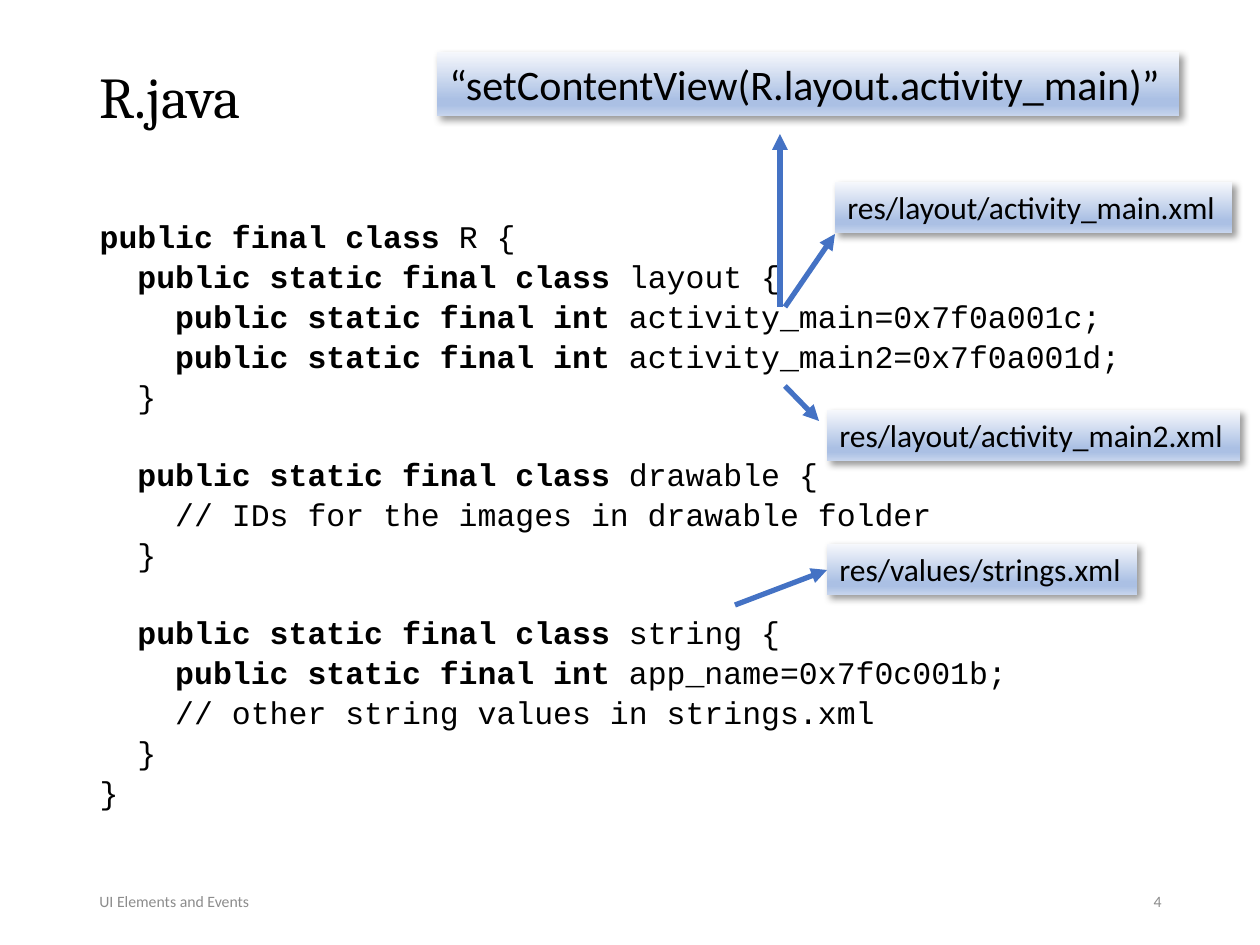
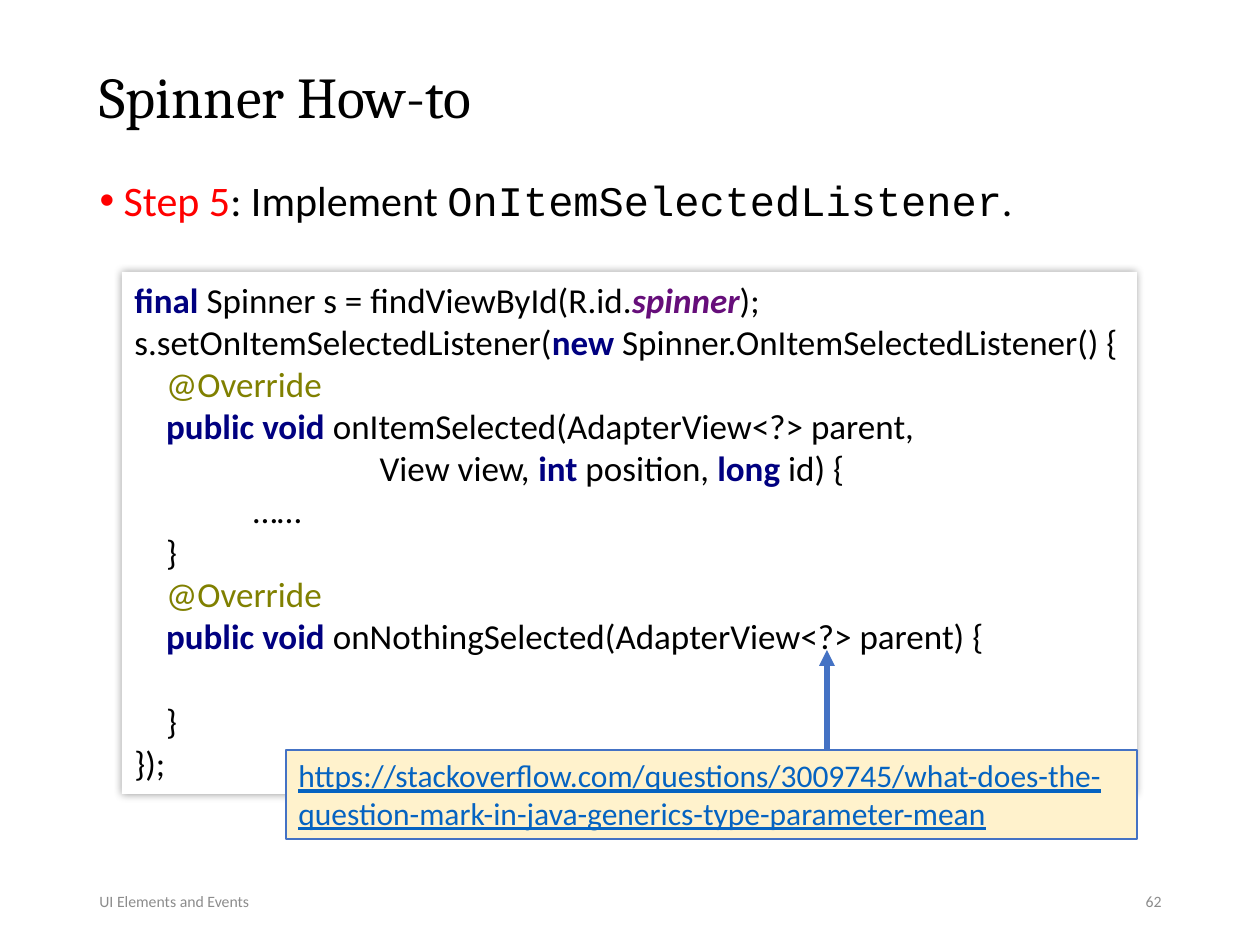
from lxml import etree
from pptx import Presentation
from pptx.dml.color import RGBColor
from pptx.enum.shapes import MSO_CONNECTOR, MSO_SHAPE
from pptx.enum.text import MSO_ANCHOR, MSO_AUTO_SIZE, PP_ALIGN
from pptx.oxml.ns import qn
from pptx.util import Emu, Pt

RECTANGLE = MSO_SHAPE.RECTANGLE
STRAIGHT = MSO_CONNECTOR.STRAIGHT
TOP, MIDDLE = MSO_ANCHOR.TOP, MSO_ANCHOR.MIDDLE
LEFT, RIGHT = PP_ALIGN.LEFT, PP_ALIGN.RIGHT
FIXED, GROW = MSO_AUTO_SIZE.NONE, MSO_AUTO_SIZE.SHAPE_TO_FIT_TEXT

BLACK = RGBColor(0x00, 0x00, 0x00)
WHITE = RGBColor(0xFF, 0xFF, 0xFF)
GRAY = RGBColor(0x8C, 0x8C, 0x8C)
RED = RGBColor(0xFF, 0x00, 0x00)
BLUE = RGBColor(0x44, 0x72, 0xC4)
LINK_BLUE = RGBColor(0x05, 0x63, 0xC1)
CREAM = RGBColor(0xFF, 0xF2, 0xCC)
NAVY = RGBColor(0x00, 0x00, 0x80)
OLIVE = RGBColor(0x80, 0x80, 0x00)
PURPLE = RGBColor(0x66, 0x0E, 0x7A)
LABEL_STOPS = [
    (0, RGBColor(0xF6, 0xF8, 0xFC)),
    (74, RGBColor(0xAB, 0xC0, 0xE4)),
    (83, RGBColor(0xAB, 0xC0, 0xE4)),
    (100, RGBColor(0xC7, 0xD5, 0xED)),
]

BODY_FONT, TITLE_FONT, CODE_FONT = "Calibri", "Cambria", "Courier New"
PX_PER_INCH = 126
FOOTER = "UI Elements and Events"

BOLD = {"bold": True}
KEYWORD = {"color": NAVY, "bold": True}
ANNOTATION = {"color": OLIVE}
FIELD = {"color": PURPLE, "bold": True, "italic": True}
GAP = None

R_CLASS = [
    [("public final class", BOLD), (" R {", {})],
    [("  ", {}), ("public static final class", BOLD), (" layout {", {})],
    [("    ", {}), ("public static final int ", BOLD), ("activity_main=0x7f0a001c;", {})],
    [("    ", {}), ("public static final int", BOLD), (" activity_main2=0x7f0a001d;", {})],
    [("  }", {})],
    GAP,
    [("  ", {}), ("public static final class", BOLD), (" drawable {", {})],
    [("    // IDs for the images in drawable folder", {})],
    [("  }", {})],
    GAP,
    [("  ", {}), ("public static final class", BOLD), (" string {", {})],
    [("    ", {}), ("public static final int ", BOLD), ("app_name=0x7f0c001b;", {})],
    [("    // other string values in strings.xml", {})],
    [("  }", {})],
    [("}", {})],
]

LISTENER = [
    [("final ", KEYWORD), ("Spinner s = findViewById(R.id.", {}), ("spinner", FIELD), (");", {})],
    [("s.setOnItemSelectedListener(", {}), ("new ", KEYWORD),
     ("Spinner.OnItemSelectedListener() {", {})],
    [("    ", {}), ("@Override", ANNOTATION)],
    [("    ", {}), ("public void ", KEYWORD), ("onItemSelected(AdapterView<?> parent,", {})],
    [("                               View view, ", {}), ("int ", KEYWORD),
     ("position, ", {}), ("long ", KEYWORD), ("id) {", {})],
    [("               ……", {})],
    [("    }", {})],
    [("    ", {}), ("@Override", ANNOTATION)],
    [("    ", {}), ("public void ", KEYWORD),
     ("onNothingSelected(AdapterView<?> parent) {", {})],
    GAP,
    [("    }", {})],
    [("});", {})],
]


def px(length):
    return Emu(round(length * 914400 / PX_PER_INCH))


class Deck:
    """Holds the shared style and the slide being filled."""

    def __init__(self):
        self.presentation = Presentation()
        self.presentation.slide_width = px(1260)
        self.presentation.slide_height = px(945)
        self.slide = None

    def start_slide(self, title, number):
        layout = self.presentation.slide_layouts[1]
        self.slide = self.presentation.slides.add_slide(layout)
        frame = self.place(self.slide.shapes.title, (87, 50, 1086, 100), MIDDLE)
        paragraph = frame.paragraphs[0]
        paragraph.alignment = LEFT
        paragraph.line_spacing = 0.9
        self.run(paragraph, title, 33, font=TITLE_FONT)
        self.footer(87, FOOTER, LEFT)
        self.footer(890, number, RIGHT)

    def place(self, shape, box, anchor):
        shape.left, shape.top, shape.width, shape.height = map(px, box)
        frame = shape.text_frame
        frame.word_wrap = True
        frame.auto_size = FIXED
        frame.vertical_anchor = anchor
        return frame

    def body(self, anchor):
        return self.place(self.slide.placeholders[1], (87, 174, 1086, 678), anchor)

    def run(self, paragraph, text, size, font=BODY_FONT, color=BLACK,
            bold=False, italic=False, underline=False):
        run = paragraph.add_run()
        run.text = text
        run.font.size = Pt(size)
        run.font.name = font
        run.font.color.rgb = color
        run.font.bold = bold
        run.font.italic = italic
        run.font.underline = underline

    def footer(self, left, text, alignment):
        shape = self.slide.shapes.add_textbox(0, 0, 0, 0)
        paragraph = self.place(shape, (left, 876, 284, 50), MIDDLE).paragraphs[0]
        paragraph.alignment = alignment
        self.run(paragraph, text, 9, color=GRAY)

    def bullet(self, frame, runs, size):
        paragraph = frame.paragraphs[0]
        properties = paragraph._p.get_or_add_pPr()
        properties.set("marL", str(px(24)))
        properties.set("indent", str(-px(24)))
        etree.SubElement(properties, qn("a:buChar"), char="•")
        paragraph.line_spacing = 0.9
        paragraph.space_before = Pt(0)
        for text, style in runs:
            self.run(paragraph, text, size, **style)

    def code(self, frame, lines, size, font, line_spacing, gap):
        """Write one paragraph a line; a GAP becomes space before the next line."""
        paragraph = frame.paragraphs[0]
        space = 0
        for index, line in enumerate(lines):
            if line is GAP:
                space = gap
                continue
            if index:
                paragraph = frame.add_paragraph()
            properties = paragraph._p.get_or_add_pPr()
            properties.set("marL", "0")
            properties.set("indent", "0")
            etree.SubElement(properties, qn("a:buNone"))
            paragraph.alignment = LEFT
            paragraph.line_spacing = line_spacing
            paragraph.space_before = Pt(space)
            space = 0
            for text, style in line:
                self.run(paragraph, text, size, font=font, **style)

    def box(self, box, fill=None, line=None):
        shape = self.slide.shapes.add_shape(RECTANGLE, *map(px, box))
        if fill is not None:
            shape.fill.solid()
            shape.fill.fore_color.rgb = fill
        if line is None:
            shape.line.fill.background()
        else:
            shape.line.color.rgb = line
            shape.line.width = Pt(0.75)
        shape.shadow.inherit = False
        self.place(shape, box, TOP)
        return shape

    def cast_shadow(self, shape, blur, distance, degrees):
        effects = shape._element.spPr.find(qn("a:effectLst"))
        shadow = etree.SubElement(
            effects, qn("a:outerShdw"), blurRad=str(Pt(blur)), dist=str(Pt(distance)),
            dir=str(degrees * 60000), algn="ctr", rotWithShape="0")
        color = etree.SubElement(shadow, qn("a:srgbClr"), val=str(BLACK))
        etree.SubElement(color, qn("a:alpha"), val="40000")

    def label(self, box, text, size=18):
        """Add a gradient label with a soft shadow."""
        shape = self.box(box)
        shape.fill.gradient()
        shape.fill.gradient_angle = 270
        stops = shape._element.spPr.find(qn("a:gradFill")).find(qn("a:gsLst"))
        for stop in list(stops):
            stops.remove(stop)
        for position, color in LABEL_STOPS:
            stop = etree.SubElement(stops, qn("a:gs"), pos=str(position * 1000))
            etree.SubElement(stop, qn("a:srgbClr"), val=str(color))
        self.cast_shadow(shape, 4, 3, 45)
        frame = shape.text_frame
        frame.word_wrap = False
        frame.auto_size = GROW
        frame.paragraphs[0].alignment = LEFT
        self.run(frame.paragraphs[0], text, size)

    def arrow(self, start, end):
        connector = self.slide.shapes.add_connector(STRAIGHT, *map(px, start + end))
        connector.line.color.rgb = BLUE
        connector.line.width = Pt(3)
        properties = connector._element.spPr
        etree.SubElement(properties.find(qn("a:ln")), qn("a:tailEnd"), type="triangle")
        etree.SubElement(properties, qn("a:effectLst"))


def build_r_java(deck):
    deck.start_slide("R.java", "4")
    deck.code(deck.body(MIDDLE), R_CLASS, 18, CODE_FONT, line_spacing=1.06, gap=21.6)
    deck.label((835, 182, 397, 51), "res/layout/activity_main.xml")
    deck.label((827, 410, 413, 51), "res/layout/activity_main2.xml")
    deck.label((827, 544, 310, 51), "res/values/strings.xml")
    deck.label((437, 52, 742, 64), "“setContentView(R.layout.activity_main)”", 24)
    for start, end in [
        ((785, 307), (835, 234)),
        ((785, 386), (819, 421)),
        ((735, 605), (827, 570)),
        ((780, 307), (780, 134)),
    ]:
        deck.arrow(start, end)


def build_spinner(deck):
    deck.start_slide("Spinner How-to", "62")
    deck.bullet(deck.body(TOP), [
        ("Step 5", {"color": RED}),
        (": Implement ", {}),
        ("OnItemSelectedListener", {"font": CODE_FONT}),
        (".", {}),
    ], 24)
    listing = deck.box((122, 272, 1015, 522), WHITE)
    deck.cast_shadow(listing, 5, 0, 0)
    deck.code(listing.text_frame, LISTENER, 20, BODY_FONT, line_spacing=1.0, gap=24.4)
    reference = deck.box((286, 750, 851, 89), CREAM, BLUE)
    paragraph = reference.text_frame.paragraphs[0]
    paragraph.alignment = LEFT
    deck.run(paragraph, "https://stackoverflow.com/questions/3009745/what-does-the-"
             "question-mark-in-java-generics-type-parameter-mean",
             18, color=LINK_BLUE, underline=True)
    deck.arrow((827, 750), (827, 650))


def main():
    deck = Deck()
    build_r_java(deck)
    build_spinner(deck)
    deck.presentation.save("out.pptx")


if __name__ == "__main__":
    main()
